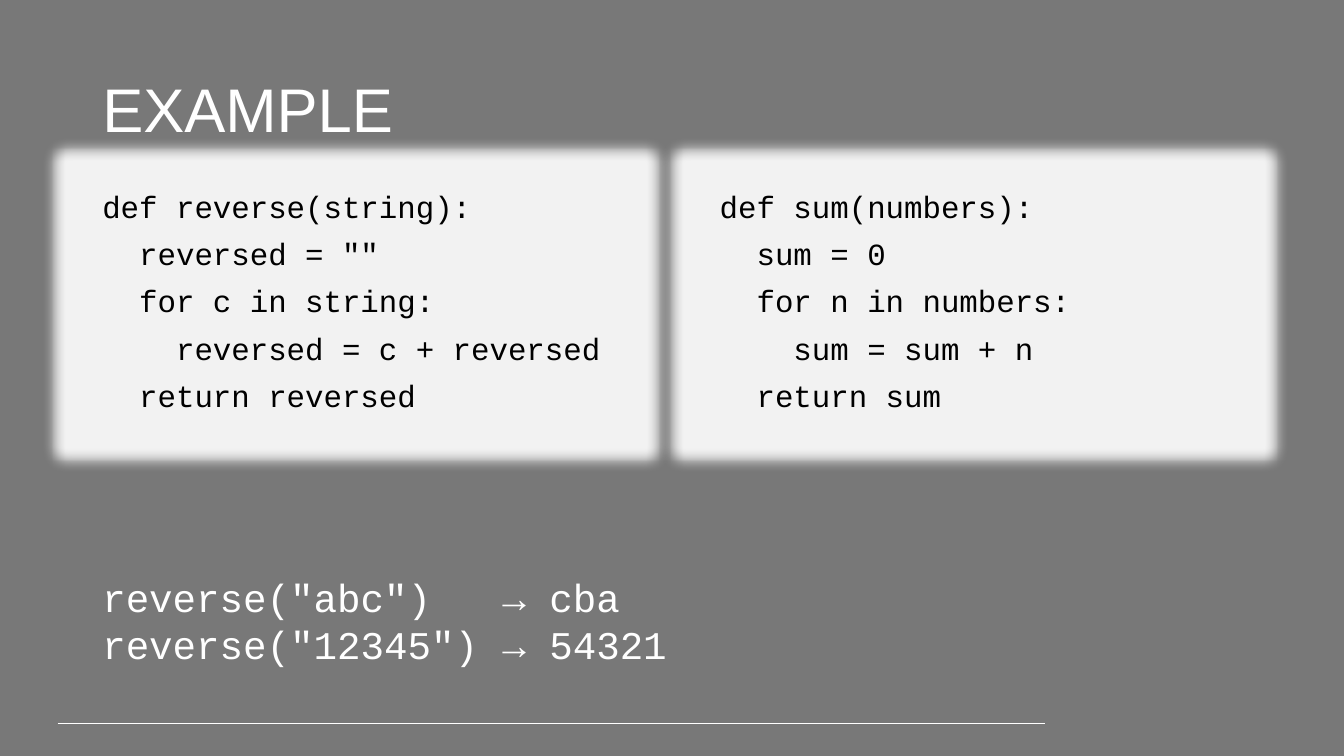
from dataclasses import dataclass

from lxml import etree
from pptx import Presentation
from pptx import util as u
from pptx.dml.color import RGBColor
from pptx.enum import shapes, text
from pptx.oxml import ns

PX = 9525
COLORS = {"page": "787878", "panel": "F2F2F2", "light": "FFFFFF", "code": "000000"}
GLOW_RADIUS = 24
ARROW_COLUMN = 381


@dataclass
class Style:
    font: str
    size: int
    color: str
    spacing: float = 1.0
    before: int = 0


@dataclass
class Panel:
    left: int
    lines: list[str]


TITLE = Style("Arial", 44, "light", 0.9)
CODE = Style("Courier New", 22, "code", 0.9, 10)
RESULT = Style("Courier New", 28, "light")

PANELS = [
    Panel(88, [
        "def reverse(string):",
        '  reversed = ""',
        "  for c in string:",
        "    reversed = c + reversed",
        "  return reversed",
    ]),
    Panel(676, [
        "def sum(numbers):",
        "  sum = 0",
        "  for n in numbers:",
        "    sum = sum + n",
        "  return sum",
    ]),
]
RESULTS = ['reverse("abc")\t→ cba', 'reverse("12345")\t→ 54321']


def px(*lengths: int) -> list[u.Emu]:
    return [u.Emu(length * PX) for length in lengths]


def rgb(name: str) -> RGBColor:
    return RGBColor.from_string(COLORS[name])


def write(box, lines: list[str], style: Style, anchor=text.MSO_ANCHOR.TOP, tab: int = 0) -> None:
    frame = box.text_frame
    frame.word_wrap = True
    frame.vertical_anchor = anchor
    for index, line in enumerate(lines):
        para = frame.add_paragraph() if index else frame.paragraphs[0]
        para.alignment = text.PP_ALIGN.LEFT
        para.line_spacing = style.spacing
        para.space_before = u.Pt(style.before if index else 0)
        if tab:
            stops = etree.SubElement(para._p.get_or_add_pPr(), ns.qn("a:tabLst"))
            etree.SubElement(stops, ns.qn("a:tab"), pos=str(tab * PX), algn="l")
        span = para.add_run()
        span.text = line
        span.font.name = style.font
        span.font.size = u.Pt(style.size)
        span.font.color.rgb = rgb(style.color)


def draw_panel(page, panel: Panel) -> None:
    box = page.shapes.add_shape(shapes.MSO_SHAPE.RECTANGLE, *px(panel.left, 178, 503, 224))
    box.shadow.inherit = False
    box.fill.solid()
    box.fill.fore_color.rgb = rgb("panel")
    box.line.fill.background()
    effects = box._element.spPr.find(ns.qn("a:effectLst"))
    glow = etree.SubElement(effects, ns.qn("a:glow"), rad=str(GLOW_RADIUS * PX))
    etree.SubElement(glow, ns.qn("a:srgbClr"), val=COLORS["panel"])
    write(box, panel.lines, CODE)


def draw_rule(page) -> None:
    rule = page.shapes.add_connector(shapes.MSO_CONNECTOR.STRAIGHT, *px(55, 689, 995, 689))
    rule.line.color.rgb = rgb("light")
    rule.line.width = u.Pt(0.75)
    etree.SubElement(rule._element.spPr, ns.qn("a:effectLst"))


def main() -> None:
    deck = Presentation()
    deck.slide_width, deck.slide_height = px(1280, 720)
    page = deck.slides.add_slide(deck.slide_layouts[6])
    page.background.fill.solid()
    page.background.fill.fore_color.rgb = rgb("page")
    draw_rule(page)
    title = page.shapes.add_textbox(*px(88, 38, 1104, 139))
    write(title, ["EXAMPLE"], TITLE, text.MSO_ANCHOR.MIDDLE)
    results = page.shapes.add_textbox(*px(88, 541, 788, 100))
    write(results, RESULTS, RESULT, tab=ARROW_COLUMN)
    for panel in PANELS:
        draw_panel(page, panel)
    deck.save("out.pptx")


if __name__ == "__main__":
    main()
